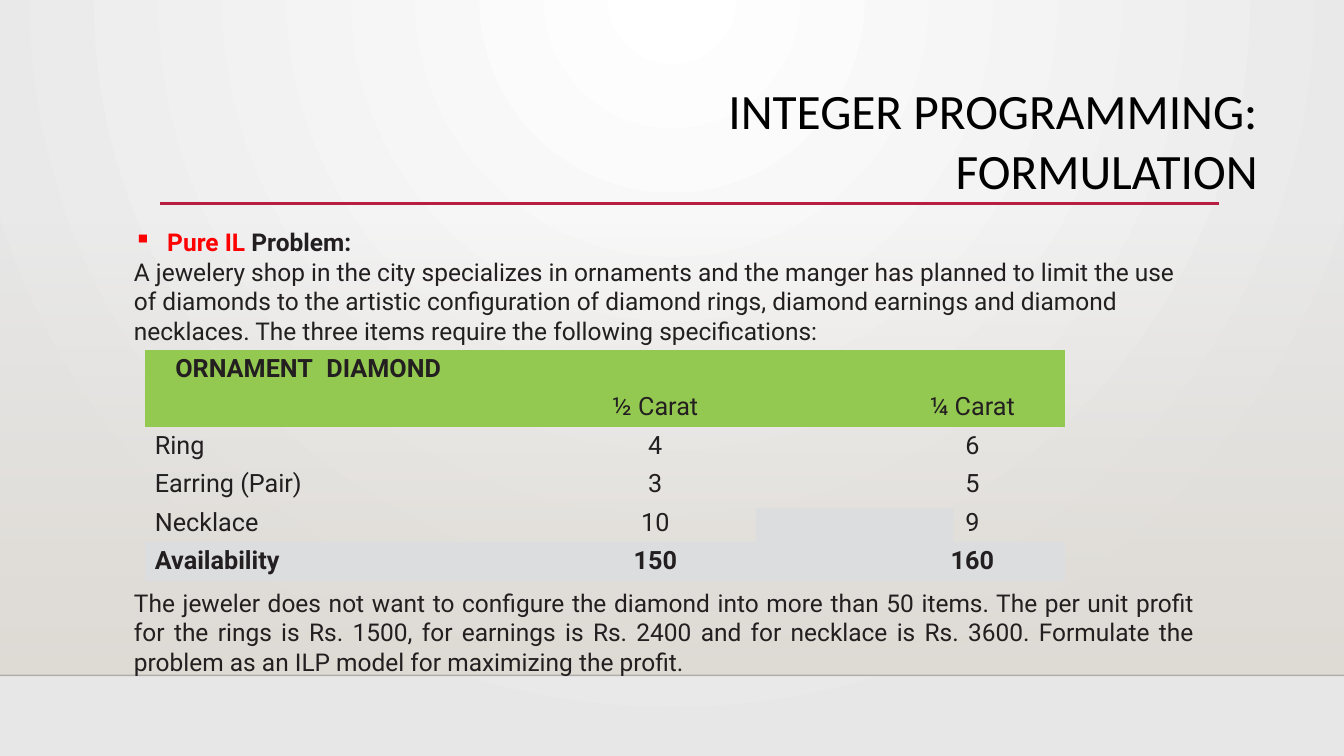
from lxml import etree
from pptx import Presentation
from pptx.dml.color import RGBColor
from pptx.enum.shapes import MSO_CONNECTOR, MSO_SHAPE
from pptx.enum.text import PP_ALIGN
from pptx.oxml import parse_xml
from pptx.oxml.ns import nsdecls, qn
from pptx.util import Pt

LINE = MSO_CONNECTOR.STRAIGHT
RECT = MSO_SHAPE.RECTANGLE
LEFT, MID, RIGHT, JUST = (PP_ALIGN.LEFT, PP_ALIGN.CENTER,
                          PP_ALIGN.RIGHT, PP_ALIGN.JUSTIFY)
INK, RED, GREEN, GREY, SAND = "231F20", "FF0000", "94C951", "DCDDDE", "DFDBD5"
PLAIN = "{2D5ABB26-0587-4C30-8999-92F81FD0307C}"
BODY = {"name": "Roboto", "size": Pt(17.5), "bold": False}
HEAD = {"name": "Calibri", "size": Pt(35.3)}
CELL = {"name": "Roboto", "size": Pt(18), "bold": False}
BOLD = {"bold": True}

INTRO = ("A jewelery shop in the city specializes in ornaments and the manger "
         "has planned to limit the use of diamonds to the artistic "
         "configuration of diamond rings, diamond earnings and diamond "
         "necklaces. The three items require the following specifications:")
TASK = ("The jeweler does not want to configure the diamond into more than 50 "
        "items. The per unit profit for the rings is Rs. 1500, for earnings is "
        "Rs. 2400 and for necklace is Rs. 3600. Formulate the problem as an "
        "ILP model for maximizing the profit.")
ROWS = [
    ("ORNAMENT\tDIAMOND", "", ""),
    ("", "½ Carat", "¼ Carat"),
    ("Ring", "4", "6"),
    ("Earring (Pair)", "3", "5"),
    ("Necklace", "10", "9"),
    ("Availability", "150", "160"),
]
FILLS = [GREEN, GREEN, None, None, None, GREY]
COLS = [(247, LEFT, 7), (235, MID, 0), (175, MID, 43)]


def rgb(code):
    return RGBColor.from_string(code)


def put(item, values):
    for name, value in values.items():
        setattr(item, name, value)


def shade(fill, root, stops, tail):
    """Give the first gradient under root its (place, colour, alpha) stops."""
    fill.gradient()
    grad = next(root.iter(qn("a:gradFill")))
    for child in list(grad):
        grad.remove(child)
    marks = "".join(
        f'<a:gs pos="{place * 1000}"><a:srgbClr val="{code}">'
        f'<a:alpha val="{alpha * 1000}"/></a:srgbClr></a:gs>'
        for place, code, alpha in stops)
    grad.append(parse_xml(f'<a:gsLst {nsdecls("a")}>{marks}</a:gsLst>'))
    grad.append(parse_xml(tail))


def add_rect(slide, *box):
    shape = slide.shapes.add_shape(RECT, *map(Pt, box))
    shape.shadow.inherit = False
    shape.line.fill.background()
    return shape


def add_rule(slide, left, right, top, code, width, alpha=100):
    rule = slide.shapes.add_connector(LINE, Pt(left), Pt(top), Pt(right), Pt(top))
    rule.line.color.rgb = rgb(code)
    rule.line.width = Pt(width)
    tint = next(rule.element.spPr.iter(qn("a:srgbClr")))
    etree.SubElement(tint, qn("a:alpha")).set("val", str(alpha * 1000))
    etree.SubElement(rule.element.spPr, qn("a:effectLst"))


def fill_para(para, runs, font, align=LEFT, left=0, hang=0, bullet=None, tab=None):
    """Write (text, colour, changes) runs with an indent, bullet and tab."""
    para.alignment = align
    props = para._p.get_or_add_pPr()
    props.set("marL", str(Pt(left)))
    props.set("indent", str(Pt(-hang)))
    if bullet:
        etree.SubElement(props, qn("a:buChar")).set("char", bullet)
    if tab:
        tabs = etree.SubElement(props, qn("a:tabLst"))
        stop = etree.SubElement(tabs, qn("a:tab"))
        stop.set("pos", str(Pt(tab)))
        stop.set("algn", "l")
    for text, code, changes in runs:
        run = para.add_run()
        run.text = text
        put(run.font, {**font, **changes})
        run.font.color.rgb = rgb(code)


def add_text(slide, box, paras, font):
    frame = slide.shapes.add_textbox(*map(Pt, box)).text_frame
    put(frame, {"word_wrap": True, "margin_left": 0, "margin_right": 0,
                "margin_top": Pt(1), "margin_bottom": 0})
    for spot, (runs, style) in enumerate(paras):
        para = frame.add_paragraph() if spot else frame.paragraphs[0]
        fill_para(para, runs, font, **style)


def add_grid(slide, left, top, pitch):
    width = sum(col[0] for col in COLS)
    frame = slide.shapes.add_table(len(ROWS), len(COLS), Pt(left), Pt(top),
                                   Pt(width), Pt(pitch * len(ROWS)))
    table = frame.table
    put(table, {"first_row": False, "horz_banding": False})
    next(frame.element.iter(qn("a:tableStyleId"))).text = PLAIN
    for col, (wide, _, _) in zip(table.columns, COLS):
        col.width = Pt(wide)
    table.cell(0, 0).merge(table.cell(0, 2))
    for r, (row, code) in enumerate(zip(ROWS, FILLS)):
        table.rows[r].height = Pt(pitch)
        for c, (text, (_, align, indent)) in enumerate(zip(row, COLS)):
            cell = table.cell(r, c)
            put(cell, {"margin_left": 0, "margin_right": 0,
                       "margin_top": Pt(3), "margin_bottom": 0})
            if code:
                cell.fill.solid()
                cell.fill.fore_color.rgb = rgb(code)
            else:
                cell.fill.background()
            if text:
                first = r == 0
                look = BOLD if r in (0, len(ROWS) - 1) else {}
                fill_para(cell.text_frame.paragraphs[0], [(text, INK, look)],
                          CELL, align, 21.6 if first else indent,
                          tab=268.5 if first else None)


def main():
    deck = Presentation()
    put(deck, {"slide_width": Pt(960), "slide_height": Pt(540)})
    slide = deck.slides.add_slide(deck.slide_layouts[6])
    shade(slide.background.fill, slide.element,
          [(0, "FFFFFF", 100), (100, "E7E7E7", 100)],
          f'<a:path {nsdecls("a")} path="circle">'
          '<a:fillToRect l="43000" t="0" r="43000" b="100000"/></a:path>')
    floor = add_rect(slide, 0, 159, 960, 323.4)
    shade(floor.fill, floor.element, [(0, SAND, 0), (100, SAND, 100)],
          f'<a:lin {nsdecls("a")} ang="5400000" scaled="0"/>')
    add_rule(slide, 0, 960, 482.4, "000001", 1, 20)
    add_rule(slide, 114.5, 871, 145.4, "B71E42", 2.5)

    title = [([(text, "000000", {})], {"align": RIGHT, "left": 142})
             for text in ("INTEGER PROGRAMMING:", "FORMULATION")]
    add_text(slide, (231, 56.5, 667.5, 87), title, HEAD)
    add_text(slide, (95, 161.5, 759, 86), [
        ([("Pure IL ", RED, BOLD), ("Problem:", INK, BOLD)],
         {"left": 24.5, "hang": 23.8, "bullet": "▪"}),
        ([(INTRO, INK, {})], {"left": 0.7}),
    ], BODY)
    add_grid(slide, 103.6, 250, 27.5)
    patch = add_rect(slide, 540, 363, 141, 27.5)
    patch.fill.solid()
    patch.fill.fore_color.rgb = rgb(GREY)
    add_text(slide, (95, 419, 759, 64),
             [([(TASK, INK, {})], {"align": JUST, "left": 0.7})], BODY)
    deck.save("out.pptx")


if __name__ == "__main__":
    main()
